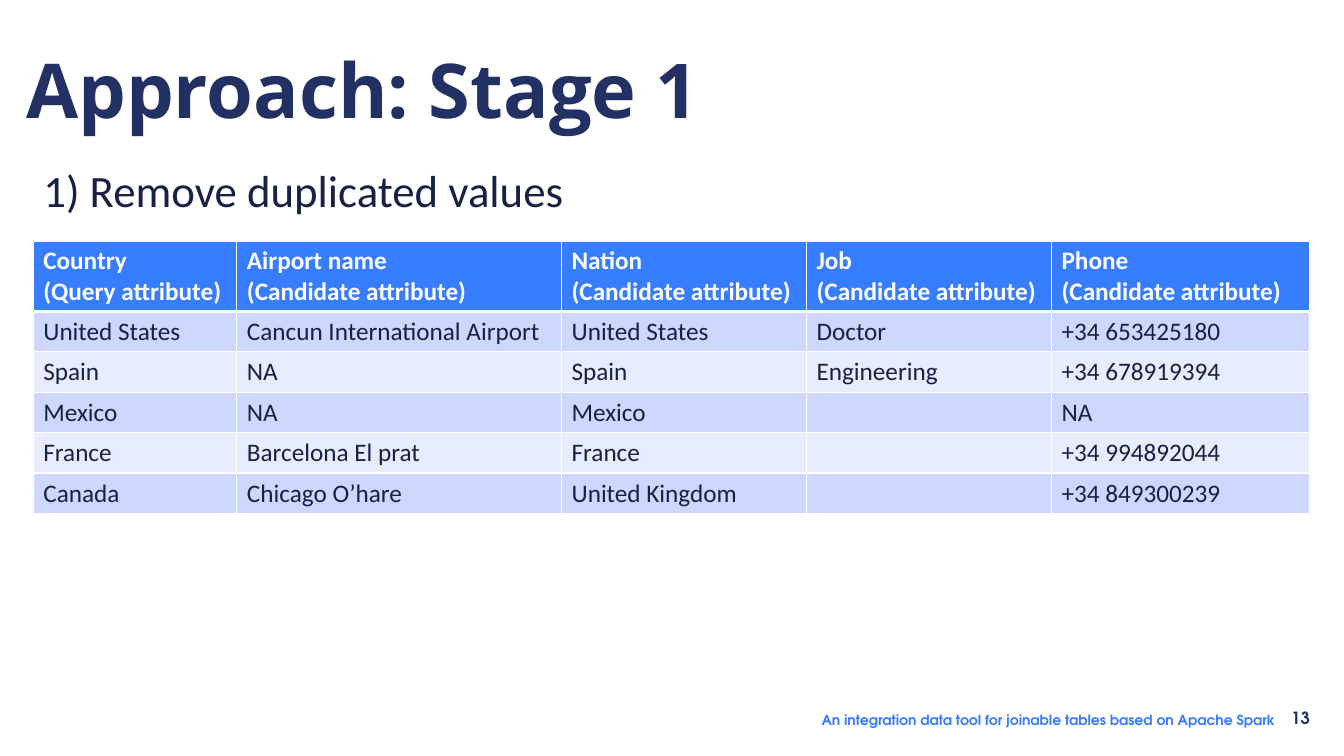
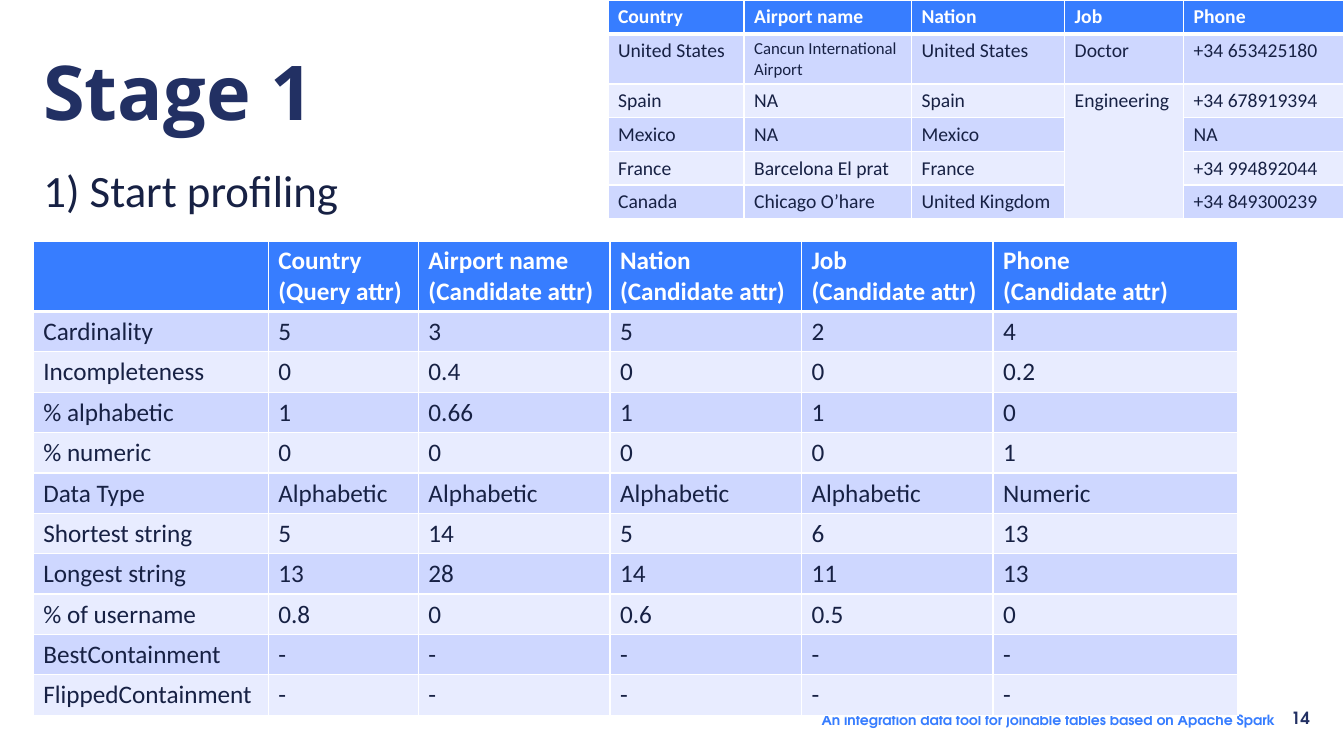
from lxml.etree import SubElement
from pptx import Presentation
from pptx.dml.color import RGBColor as RGB
from pptx.enum.text import MSO_ANCHOR as Anchor, MSO_AUTO_SIZE as Auto, PP_ALIGN as Align
from pptx.oxml import parse_xml
from pptx.oxml.ns import nsdecls, qn
from pptx.util import Pt

PX = 9144  # 100 px to the inch
HUES = {"blue": "377DFF", "navy": "223063", "ink": "172144", "white": "FFFFFF",
        "dark": "CED7FF", "light": "E8ECFF"}
BODY, HEAD, FOOT = "Calibri", "Open Sans", "TeX Gyre Adventor"


def write(frame, text, size=18, hue="ink", bold=False, face=BODY, align=Align.LEFT):
    """Fill a text frame, one paragraph for each line of text."""
    for i, line in enumerate(text.split("\n")):
        para = frame.add_paragraph() if i else frame.paragraphs[0]
        para.alignment = align
        para.space_before = Pt(0)
        run = para.add_run()
        run.text = line
        font = run.font
        font.size, font.bold, font.name = Pt(size), bold, face
        font.color.rgb = RGB.from_string(HUES[hue])


def grid(slide, left, top, cols, tall, rows, size=18):
    """Add a table with a blue head, banded rows and white rules."""
    box = [n * PX for n in (left, top, sum(cols), sum(tall))]
    table = slide.shapes.add_table(len(rows), len(cols), *box).table
    for col, wide in zip(table.columns, cols):
        col.width = wide * PX
    for r, row in enumerate(rows):
        table.rows[r].height = tall[r] * PX
        for c, text in enumerate(row):
            cell = table.cell(r, c)
            write(cell.text_frame, text, size=size, bold=r == 0,
                  hue="ink" if r else "white")
            cell.fill.solid()
            band = ("light", "dark")[r % 2] if r else "blue"
            cell.fill.fore_color.rgb = RGB.from_string(HUES[band])
            thick = {"L": 1, "R": 1, "T": 3 if r == 1 else 1, "B": 1 if r else 3}
            for i, (side, width) in enumerate(thick.items()):
                line = parse_xml(
                    f'<a:ln{side} {nsdecls("a")} w="{Pt(width)}"><a:solidFill>'
                    f'<a:srgbClr val="{HUES["white"]}"/></a:solidFill></a:ln{side}>')
                cell._tc.get_or_add_tcPr().insert(i, line)
    return table


names = ["Country", "Airport name", "Nation", "Job", "Phone"]
data = [
    ["United States", "Cancun International Airport", "United States", "Doctor",
     "+34 653425180"],
    ["Spain", "NA", "Spain", "Engineering", "+34 678919394"],
    ["Mexico", "NA", "Mexico", "", "NA"],
    ["France", "Barcelona El prat", "France", "", "+34 994892044"],
    ["Canada", "Chicago O’hare", "United Kingdom", "", "+34 849300239"],
]
stats = [
    ["Cardinality", "5", "3", "5", "2", "4"],
    ["Incompleteness", "0", "0.4", "0", "0", "0.2"],
    ["% alphabetic", "1", "0.66", "1", "1", "0"],
    ["% numeric", "0", "0", "0", "0", "1"],
    ["Data Type"] + ["Alphabetic"] * 4 + ["Numeric"],
    ["Shortest string", "5", "14", "5", "6", "13"],
    ["Longest string", "13", "28", "14", "11", "13"],
    ["% of username", "0.8", "0", "0.6", "0.5", "0"],
    ["BestContainment"] + ["-"] * 5,
    ["FlippedContainment"] + ["-"] * 5,
]
roles = ["Query"] + ["Candidate"] * 4
long = [f"{name}\n({role} attribute)" for name, role in zip(names, roles)]
short = [f"{name}\n({role} attr)" for name, role in zip(names, roles)]

prs = Presentation()
prs.slide_width, prs.slide_height = 1333 * PX, 750 * PX

# Titles, lead lines and footers
pages = [
    ("13", "Approach: Stage 1", (-2, 38), Align.CENTER, "1) Remove duplicated values", 542),
    ("14", "Stage 1", (33, 40), Align.LEFT, "1) Start profiling", 316),
]
for page, title, spot, align, lead, wide in pages:
    slide = prs.slides.add_slide(prs.slide_layouts[1])
    head, body = slide.placeholders
    for shape, place in ((head, (*spot, 724, 101)), (body, (33, 156, wide, 64))):
        shape.left, shape.top, shape.width, shape.height = [n * PX for n in place]
        frame = shape.text_frame
        frame.auto_size, frame.vertical_anchor = Auto.NONE, Anchor.TOP
    write(head.text_frame, title, size=54, hue="navy", bold=True, face=HEAD, align=align)
    props = body.text_frame.paragraphs[0]._p.get_or_add_pPr()
    props.set("marL", "0")
    props.set("indent", "0")
    SubElement(props, qn("a:buNone"))
    body.text_frame.word_wrap = False
    write(body.text_frame, lead, size=32)

    foot = slide.shapes.add_textbox(*[n * PX for n in (805, 701, 476, 27)]).text_frame
    mark = slide.shapes.add_textbox(*[n * PX for n in (1270, 696, 40, 32)]).text_frame
    for frame in (foot, mark):
        frame.word_wrap, frame.vertical_anchor = False, Anchor.MIDDLE
    mark.margin_left = mark.margin_right = 0
    mark.margin_top = mark.margin_bottom = 3 * PX
    write(foot, "An integration data tool for joinable tables based on Apache Spark",
          size=10, hue="blue", bold=True, face=FOOT)
    write(mark, page, size=12, hue="navy", bold=True, face=FOOT, align=Align.CENTER)

# Tables
first, second = prs.slides
grid(first, 33, 239, [202, 322, 243, 243, 256], [68] + [40] * 5, [long] + data)

small = grid(second, 603, 0, [135, 166, 152, 118, 159], [33, 49] + [33] * 4,
             [names] + data, size=14)
small.cell(1, 1).text_frame.paragraphs[0].runs[0].font.size = Pt(12)
jobs = small.cell(2, 3)
jobs.merge(small.cell(5, 3))
for para in jobs.text_frame.paragraphs[1:]:
    para._p.getparent().remove(para._p)

grid(second, 33, 239, [233, 149, 190, 190, 190, 243], [70] + [40] * 10,
     [[""] + short] + stats)

prs.save("out.pptx")
